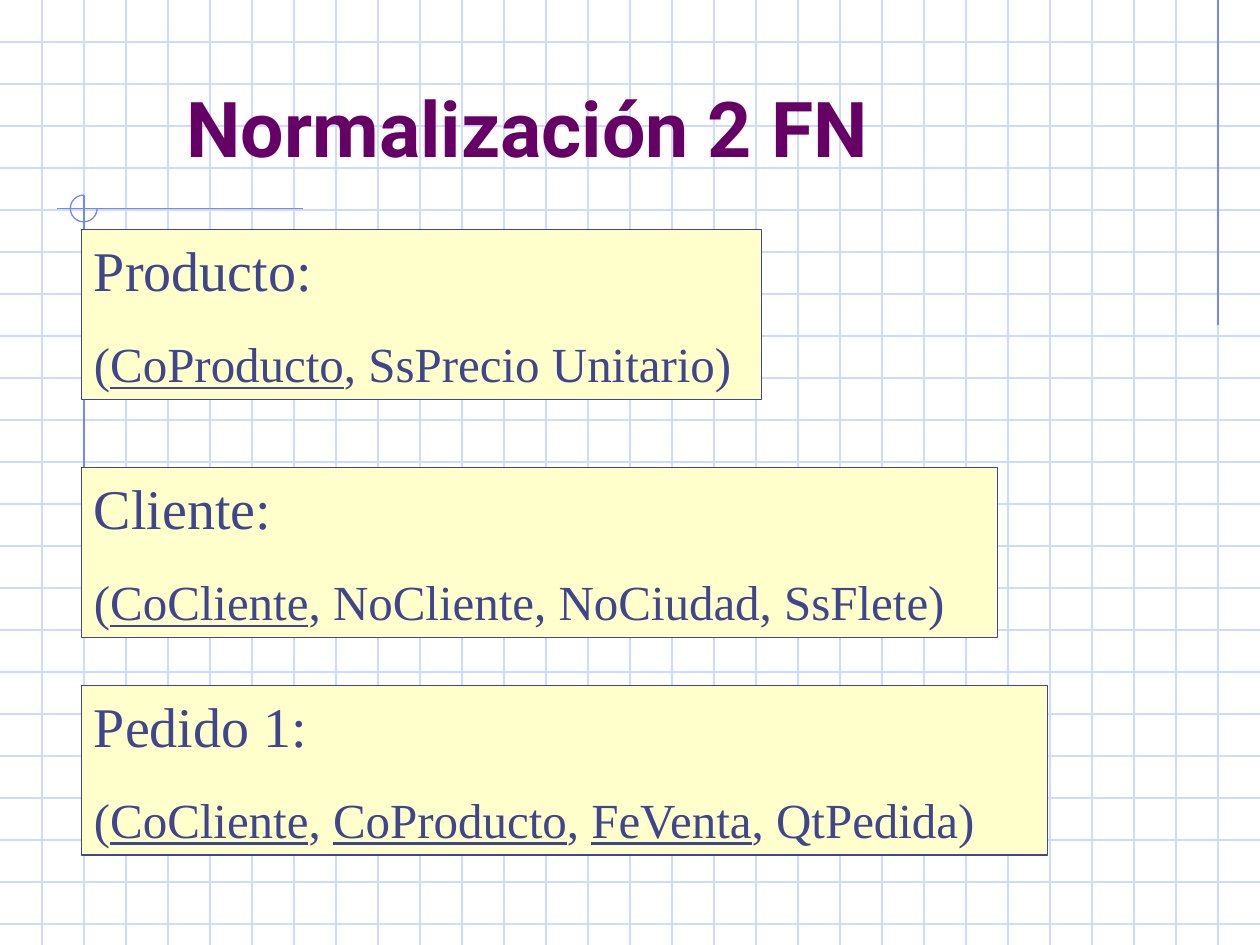
from dataclasses import dataclass
from lxml.etree import SubElement
from pptx import Presentation
from pptx.dml.color import RGBColor
from pptx.enum.shapes import MSO_CONNECTOR, MSO_SHAPE
from pptx.enum.text import MSO_ANCHOR, MSO_AUTO_SIZE, PP_ALIGN
from pptx.oxml.ns import qn
from pptx.util import Pt


@dataclass(frozen=True)
class Theme:
    grid: str = "CFDBFD"
    accent: str = "6F89F7"
    title: str = "660066"
    ink: str = "40458C"
    card: str = "FFFFCC"
    sans: str = "Roboto"
    serif: str = "Times New Roman"
    big: float = 44
    head: float = 32
    body: float = 28
    stroke: float = 0.75


def apply(target, **values):
    for name, value in values.items():
        setattr(target, name, value)


class Painter:
    def __init__(self, slide, theme):
        self.slide, self.theme = slide, theme
        self.shapes = slide.shapes

    def stroke(self, shape, color):
        shape.line.color.rgb = RGBColor.from_string(color)
        shape.line.width = Pt(self.theme.stroke)

    def line(self, x1, y1, x2, y2, color):
        link = self.shapes.add_connector(
            MSO_CONNECTOR.STRAIGHT, Pt(x1), Pt(y1), Pt(x2), Pt(y2))
        self.stroke(link, color)
        SubElement(link.element.spPr, qn("a:effectLst"))

    def arc(self, x, y, size):
        # Three quarters of a circle, clockwise from the right to the top
        ring = self.shapes.add_shape(
            MSO_SHAPE.ARC, Pt(x), Pt(y), Pt(size), Pt(size))
        ring.adjustments[0], ring.adjustments[1] = 0, 162
        ring.shadow.inherit = False
        ring.fill.background()
        self.stroke(ring, self.theme.accent)

    def run(self, para, text, font, size, color, **style):
        run = para.add_run()
        run.text = text
        apply(run.font, name=font, size=Pt(size), **style)
        run.font.color.rgb = RGBColor.from_string(color)

    def frame(self, shape, anchor, fit):
        apply(shape.text_frame, word_wrap=True, auto_size=fit,
              vertical_anchor=anchor,
              margin_left=Pt(7.2), margin_right=Pt(7.2),
              margin_top=Pt(3.6), margin_bottom=Pt(3.6))
        return shape.text_frame

    def title(self, text, x, y, w, h):
        look, title = self.theme, self.shapes.title
        apply(title, left=Pt(x), top=Pt(y), width=Pt(w), height=Pt(h))
        # Bring the title in front of the grid
        title.element.getparent().append(title.element)
        frame = self.frame(title, MSO_ANCHOR.BOTTOM, MSO_AUTO_SIZE.NONE)
        para = frame.paragraphs[0]
        para.alignment = PP_ALIGN.LEFT
        self.run(para, text, look.sans, look.big, look.title, bold=True)

    def card(self, name, fields, x, y, w, h):
        """Draw one relation; key fields stand between asterisks."""
        look = self.theme
        box = self.shapes.add_shape(
            MSO_SHAPE.RECTANGLE, Pt(x), Pt(y), Pt(w), Pt(h))
        box.shadow.inherit = False
        box.fill.solid()
        box.fill.fore_color.rgb = RGBColor.from_string(look.card)
        self.stroke(box, look.ink)
        frame = self.frame(box, MSO_ANCHOR.TOP,
                           MSO_AUTO_SIZE.SHAPE_TO_FIT_TEXT)
        head, body = frame.paragraphs[0], frame.add_paragraph()
        for para, gap in ((head, 20), (body, 17.5)):
            apply(para, alignment=PP_ALIGN.LEFT, space_before=Pt(gap))
        self.run(head, name, look.serif, look.head, look.ink)
        for i, part in enumerate(fields.split("*")):
            self.run(body, part, look.serif, look.body, look.ink,
                     underline=i % 2 == 1)


def main():
    wide, high, step = 720, 540, 24
    deck = Presentation()
    apply(deck, slide_width=Pt(wide), slide_height=Pt(high))
    look = Theme()
    page = Painter(deck.slides.add_slide(deck.slide_layouts[5]), look)

    # Squared paper
    for y in range(step, high, step):
        page.line(0, y, wide, y, look.grid)
    for x in range(step, wide, step):
        page.line(x, 0, x, high, look.grid)

    # Accent lines and ring
    page.line(696, 0, 696, 186, look.accent)
    page.line(173, 119.3, 32.5, 119.3, look.accent)
    page.line(48, 111.5, 48, 294.5, look.accent)
    page.arc(40.2, 111.5, 15.3)

    page.title("Normalización 2 FN", 99.4, 37.4, 562.3, 64.8)

    # Relations
    cards = (
        ("Producto:", "(*CoProducto*, SsPrecio Unitario)", 131.2, 388.8),
        ("Cliente:", "(*CoCliente*, NoCliente, NoCiudad, SsFlete)",
         267.2, 523.4),
        ("Pedido 1:", "(*CoCliente*, *CoProducto*, *FeVenta*, QtPedida)",
         391.6, 552.2),
    )
    for name, fields, top, width in cards:
        page.card(name, fields, 46.6, top, width, 97)

    deck.save("out.pptx")


if __name__ == "__main__":
    main()
